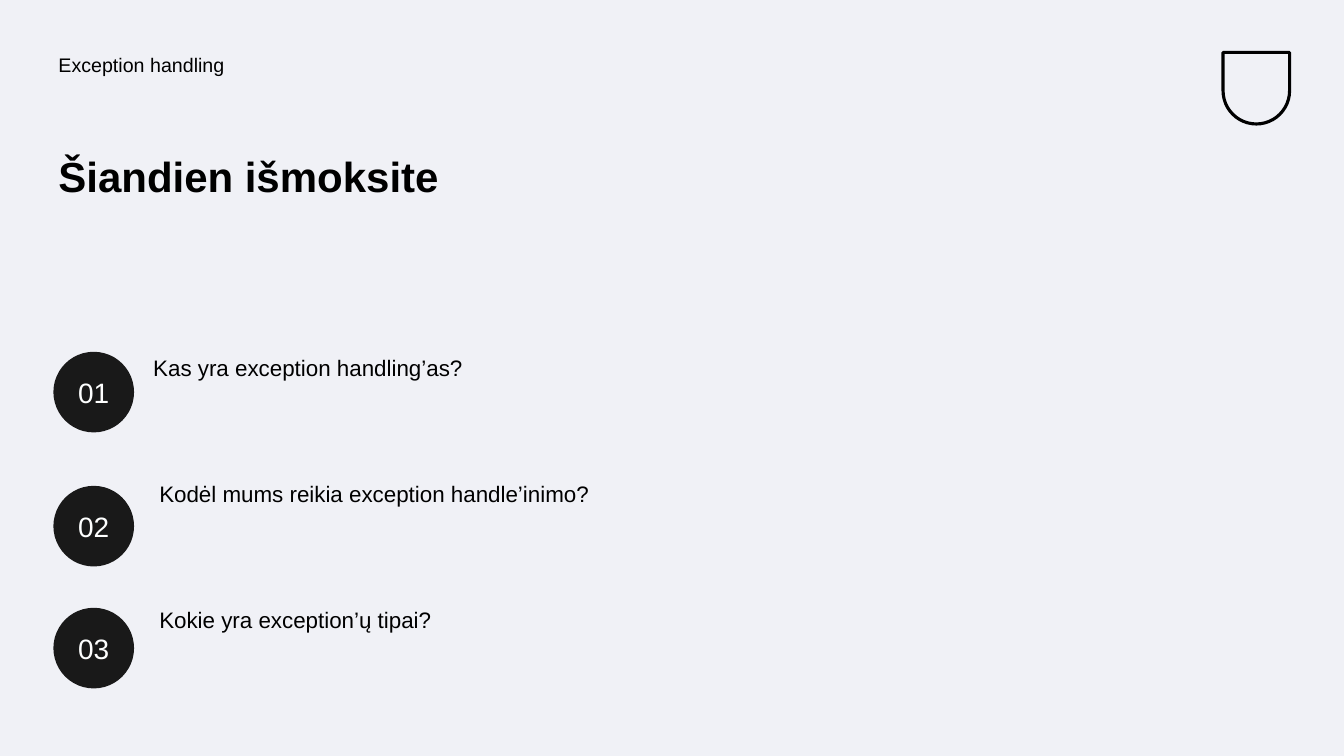
from dataclasses import dataclass

from pptx import Presentation
from pptx import util as u
from pptx.dml.color import RGBColor
from pptx.enum import shapes, text


@dataclass(frozen=True)
class Theme:
    font: str = "Arial"
    back: RGBColor = RGBColor(0xF0, 0xF1, 0xF6)
    ink: RGBColor = RGBColor(0, 0, 0)
    disc: RGBColor = RGBColor(0x19, 0x19, 0x19)
    light: RGBColor = RGBColor(0xFE, 0xFF, 0xFF)
    label: int = 14
    title: int = 30
    body: int = 16
    number: int = 20


THEME = Theme()
LEFT = 0.53
DISC = 0.8
TOPICS = [
    ("Kas yra exception handling’as?", 1.47, 3.49),
    ("Kodėl mums reikia exception handle’inimo?", 1.53, 4.82),
    ("Kokie yra exception’ų tipai?", 1.53, 6.03),
]


def write(shape, words, size, color, bold=False):
    frame = shape.text_frame
    frame.word_wrap = True
    frame.margin_left = frame.margin_right = u.Inches(0.05)
    frame.margin_top = frame.margin_bottom = u.Inches(0.05)
    para = frame.paragraphs[0]
    para.text = words
    para.font.name = THEME.font
    para.font.size = u.Pt(size)
    para.font.bold = bold
    para.font.color.rgb = color
    return para


def add_text(slide, box, words, size, bold=False):
    shape = slide.shapes.add_textbox(*map(u.Inches, box))
    para = write(shape, words, size, THEME.ink, bold)
    para.line_spacing = 0.9


def add_disc(slide, top, number):
    disc = slide.shapes.add_shape(
        shapes.MSO_SHAPE.OVAL, *map(u.Inches, (LEFT, top, DISC, DISC)))
    disc.shadow.inherit = False
    disc.fill.solid()
    disc.fill.fore_color.rgb = THEME.disc
    disc.line.fill.background()
    para = write(disc, f"{number:02}", THEME.number, THEME.light)
    para.alignment = text.PP_ALIGN.CENTER
    disc.text_frame.vertical_anchor = text.MSO_ANCHOR.MIDDLE


def add_badge(slide):
    badge = slide.shapes.add_shape(
        shapes.MSO_SHAPE.ROUND_2_SAME_RECTANGLE,
        *map(u.Inches, (12.13, 0.52, 0.66, 0.71)))
    badge.adjustments[0] = 0.5
    badge.rotation = 180
    badge.shadow.inherit = False
    badge.fill.background()
    badge.line.color.rgb = THEME.ink
    badge.line.width = u.Pt(2.25)


def main():
    deck = Presentation()
    deck.slide_width = u.Inches(13.33)
    deck.slide_height = u.Inches(7.5)
    slide = deck.slides.add_slide(deck.slide_layouts[6])
    slide.background.fill.solid()
    slide.background.fill.fore_color.rgb = THEME.back

    add_badge(slide)
    add_text(slide, (LEFT, 0.5, 6.14, 0.5), "Exception handling", THEME.label)
    add_text(slide, (LEFT, 1.5, 5.64, 1.49), "Šiandien išmoksite",
             THEME.title, bold=True)
    for index, (words, left, top) in enumerate(TOPICS):
        add_text(slide, (left, 3.49 + 1.25 * index, 4.63, 0.99), words,
                 THEME.body)
        add_disc(slide, top, index + 1)

    deck.save("out.pptx")


if __name__ == "__main__":
    main()
